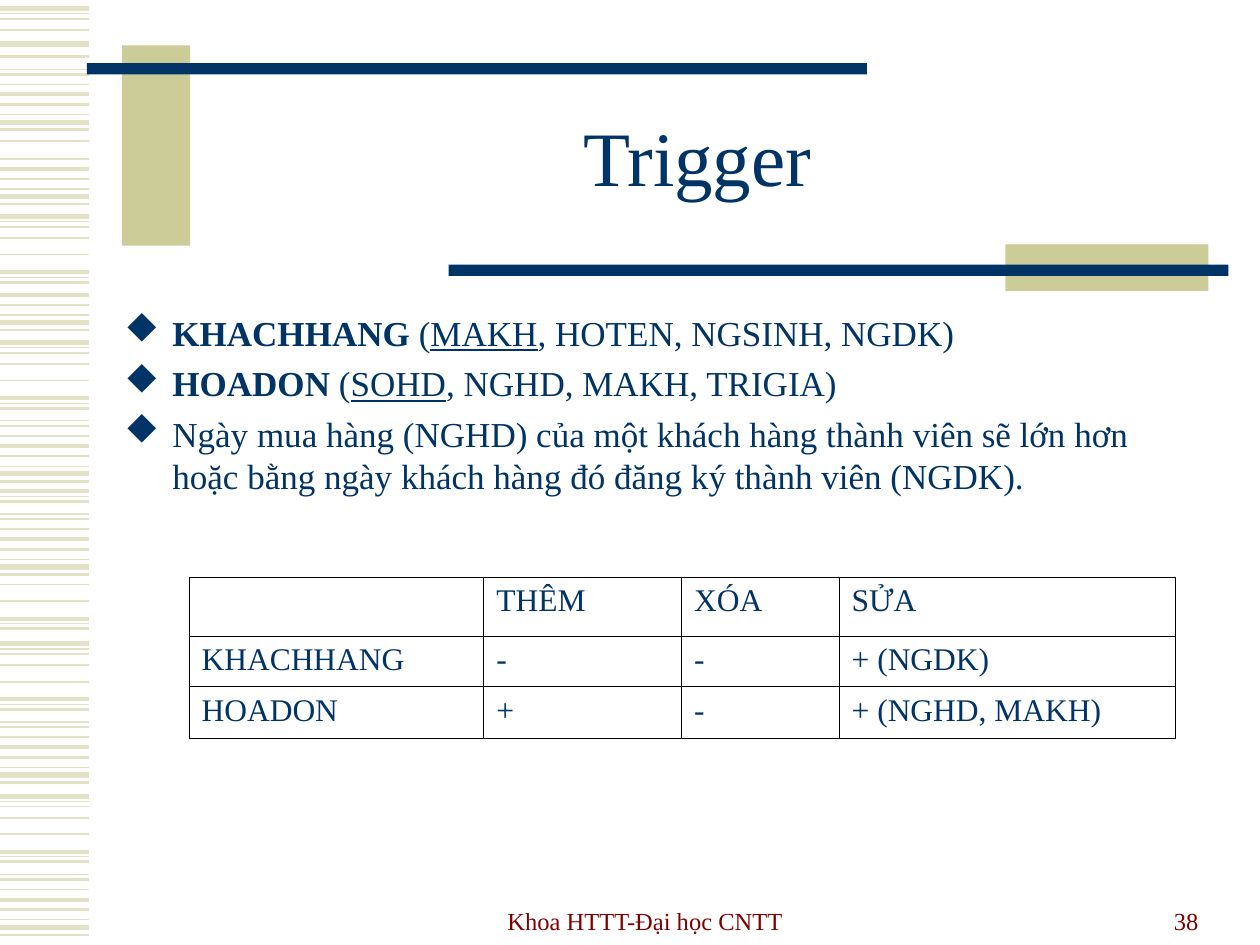
from lxml.etree import SubElement
from pptx import Presentation
from pptx.dml.color import RGBColor
from pptx.enum.shapes import MSO_CONNECTOR, MSO_SHAPE
from pptx.enum.text import MSO_ANCHOR, PP_ALIGN
from pptx.oxml.ns import qn
from pptx.util import Inches, Pt

theme = {
    "navy": RGBColor.from_string("003366"),
    "sand": RGBColor.from_string("CCCC99"),
    "pale": RGBColor.from_string("E3E2C7"),
    "wine": RGBColor.from_string("800000"),
    "black": "000000",
    "font": "Times New Roman", "mark": "Wingdings",
    "title": Pt(44), "body": Pt(20), "cell": Pt(18), "foot": Pt(14),
}

deck = Presentation()
deck.slide_width, deck.slide_height = Inches(10), Inches(7.5)
col, row = deck.slide_width / 100, deck.slide_height / 75
slide = deck.slides.add_slide(deck.slide_layouts[6])
shapes = slide.shapes


def place(x, y, w, h):
    return int(x * col), int(y * row), int(w * col), int(h * row)


def write(para, text, size, tint="navy", **form):
    run = para.add_run()
    run.text = text
    look = {"name": theme["font"], "size": theme[size], **form}
    for key, val in look.items():
        setattr(run.font, key, val)
    run.font.color.rgb = theme[tint]


motif = [
    (0, 3), (0.4, 0.75), (0.8, 1), (1.7, 1), (3, 1), (4.4, 2.25),
    (4.8, 0.75), (5.2, 1.5), (6.2, 0.75), (6.6, 1.5), (7.4, 1),
    (8.2, 2.25), (9, 1.5), (9.8, 0.75), (10.4, 3), (11, 1.5),
]
bands = [
    (63.2, 0, 16), (51.1, 0, 16), (44.7, 3, 8), (34.6, 5, 16),
    (27.2, 0, 16), (15.2, 11, 16), (17.2, 0, 8), (5.2, 10, 16),
    (8.2, 4, 5), (-0.7, 7, 16), (0.7, 0, 4), (3.5, 0, 1),
]
for base, first, last in bands:
    for step, weight in motif[first:last]:
        y = int((base + step) * row)
        stripe = shapes.add_connector(MSO_CONNECTOR.STRAIGHT, 0, y, int(7.1 * col), y)
        stripe.line.color.rgb = theme["pale"]
        stripe.line.width = Pt(weight)
        SubElement(stripe._element.spPr, qn("a:effectLst"))

bars = [
    ("sand", 9.7, 3.6, 5.4, 15.9), ("navy", 6.9, 5, 61.9, 0.9),
    ("sand", 79.8, 19.4, 16.1, 3.7), ("navy", 35.6, 21, 61.9, 0.9),
]
for tint, *box in bars:
    bar = shapes.add_shape(MSO_SHAPE.RECTANGLE, *place(*box))
    bar.shadow.inherit = False
    bar.fill.solid()
    bar.fill.fore_color.rgb = theme[tint]
    bar.line.fill.background()

labels = [
    ("Trigger", "title", "navy", (15, 6.7, 80.7, 12.5),
     MSO_ANCHOR.MIDDLE, {"alignment": PP_ALIGN.CENTER, "line_spacing": 0.85}),
    ("Khoa HTTT-Đại học CNTT", "foot", "wine", (34.3, 69.7, 33.8, 5),
     MSO_ANCHOR.BOTTOM, {"alignment": PP_ALIGN.CENTER}),
    ("38", "foot", "wine", (72.1, 69.7, 24, 5),
     MSO_ANCHOR.BOTTOM, {"alignment": PP_ALIGN.RIGHT}),
]
for text, size, tint, box, anchor, form in labels:
    frame = shapes.add_textbox(*place(*box)).text_frame
    frame.word_wrap, frame.vertical_anchor = True, anchor
    para = frame.paragraphs[0]
    for key, val in form.items():
        setattr(para, key, val)
    write(para, text, size, tint)

bold, under = {"bold": True}, {"underline": True}
points = [
    [("KHACHHANG ", bold), ("(", {}), ("MAKH", under), (", HOTEN, NGSINH, NGDK)", {})],
    [("HOADON", bold), (" (", {}), ("SOHD", under), (", NGHD, MAKH, TRIGIA)", {})],
    [("Ngày mua hàng (NGHD) của một khách hàng thành viên sẽ lớn hơn hoặc bằng "
      "ngày khách hàng đó đăng ký thành viên (NGDK).", {})],
]
frame = shapes.add_textbox(*place(8.9, 24.2, 87, 42.4)).text_frame
frame.word_wrap = True
for rank, runs in enumerate(points):
    para = frame.add_paragraph() if rank else frame.paragraphs[0]
    para.space_before = Pt(5)
    props = para._p.get_or_add_pPr()
    for key, val in {"marL": 3.8, "indent": -3.8}.items():
        props.set(key, str(int(val * col)))
    tone = SubElement(props, qn("a:buClr"))
    SubElement(tone, qn("a:srgbClr"), val=str(theme["navy"]))
    SubElement(props, qn("a:buFont"), typeface=theme["mark"], charset="2")
    SubElement(props, qn("a:buChar"), char="u")
    for text, form in runs:
        write(para, text, "body", **form)

grid = [
    ["", "THÊM", "XÓA", "SỬA"],
    ["KHACHHANG", "-", "-", "+ (NGDK)"],
    ["HOADON", "+", "-", "+ (NGHD, MAKH)"],
]
wide, tall = [23.4, 15.7, 12.5, 26.7], [4.7, 4, 4.1]
table = shapes.add_table(3, 4, *place(15, 45.8, sum(wide), sum(tall))).table
for key in ("first_row", "horz_banding"):
    setattr(table, key, False)
for part, size in zip(table.columns, wide):
    part.width = int(size * col)
for part, size in zip(table.rows, tall):
    part.height = int(size * row)
for r, line in enumerate(grid):
    for c, text in enumerate(line):
        cell = table.cell(r, c)
        props = cell._tc.get_or_add_tcPr()
        for side in "LRTB":
            edge = SubElement(props, qn(f"a:ln{side}"), w=str(Pt(0.45)))
            fill = SubElement(edge, qn("a:solidFill"))
            SubElement(fill, qn("a:srgbClr"), val=theme["black"])
        cell.fill.background()
        if text:
            write(cell.text_frame.paragraphs[0], text, "cell")

deck.save("out.pptx")
